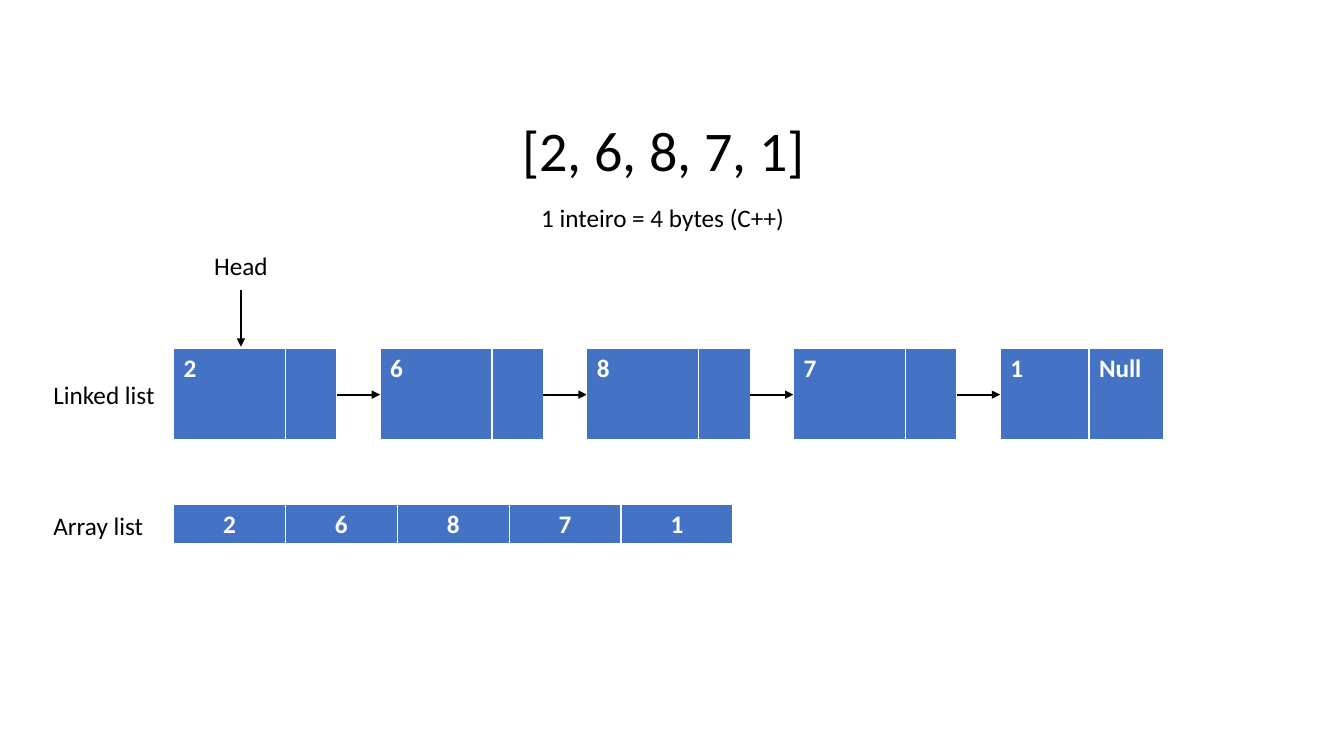
from dataclasses import dataclass
from lxml.etree import SubElement
from pptx import Presentation
from pptx.dml.color import RGBColor
from pptx.enum.shapes import MSO_CONNECTOR
from pptx.enum.text import MSO_ANCHOR, MSO_AUTO_SIZE, PP_ALIGN
from pptx.oxml.ns import qn
from pptx.util import Inches, Pt


@dataclass(frozen=True)
class Theme:
    font: str = "Calibri"
    ink: RGBColor = RGBColor(0, 0, 0)
    paper: RGBColor = RGBColor(0xFF, 0xFF, 0xFF)
    cell: RGBColor = RGBColor(0x44, 0x72, 0xC4)
    title: Pt = Pt(40)
    body: Pt = Pt(18)
    arrow: Pt = Pt(1.5)
    border: Pt = Pt(1)
    base: Pt = Pt(3)


THEME = Theme()
VALUES = ["2", "6", "8", "7", "1"]
LABEL_H = 0.4


def write(tf, text, size, color, align=PP_ALIGN.LEFT, bold=False):
    p = tf.paragraphs[0]
    p.text = text
    p.alignment = align
    p.font.name = THEME.font
    p.font.size = size
    p.font.bold = bold
    p.font.color.rgb = color


def add_label(s, text, x, y, w, align=PP_ALIGN.LEFT):
    sp = s.shapes.add_textbox(Inches(x), Inches(y), Inches(w), Inches(LABEL_H))
    tf = sp.text_frame
    tf.word_wrap = True
    tf.auto_size = MSO_AUTO_SIZE.SHAPE_TO_FIT_TEXT
    write(tf, text, THEME.body, THEME.ink, align)


def add_arrow(s, x1, y1, x2, y2):
    line = s.shapes.add_connector(
        MSO_CONNECTOR.STRAIGHT, Inches(x1), Inches(y1), Inches(x2), Inches(y2))
    line.line.color.rgb = THEME.ink
    line.line.width = THEME.arrow
    SubElement(line.line._get_or_add_ln(), qn("a:tailEnd"), type="triangle")
    SubElement(line._element.spPr, qn("a:effectLst"))


def add_borders(cell):
    tcPr = cell._tc.get_or_add_tcPr()
    for side in "LRTB":
        width = THEME.base if side == "B" else THEME.border
        ln = SubElement(tcPr, qn(f"a:ln{side}"), w=str(int(width)))
        fill = SubElement(ln, qn("a:solidFill"))
        SubElement(fill, qn("a:srgbClr"), val=str(THEME.paper))


def add_cells(s, texts, x, y, widths, h, align=PP_ALIGN.LEFT):
    table = s.shapes.add_table(
        1, len(texts), Inches(x), Inches(y), Inches(sum(widths)), Inches(h)).table
    table.rows[0].height = Inches(h)
    for i, (text, w) in enumerate(zip(texts, widths)):
        table.columns[i].width = Inches(w)
        cell = table.cell(0, i)
        add_borders(cell)
        cell.fill.solid()
        cell.fill.fore_color.rgb = THEME.cell
        write(cell.text_frame, text, THEME.body, THEME.paper, align, bold=True)


def add_heading(s, x, y, w):
    sp = s.shapes.title
    sp.left, sp.top, sp.width, sp.height = map(Inches, (x, y, w, 0.77))
    tf = sp.text_frame
    tf.word_wrap = True
    tf.auto_size = MSO_AUTO_SIZE.NONE
    tf.vertical_anchor = MSO_ANCHOR.TOP
    write(tf, f"[{', '.join(VALUES)}]", THEME.title, THEME.ink)
    add_label(s, "1 inteiro = 4 bytes (C++)", x + 0.19, y + 0.86, w)


def add_linked_list(s, x, y, h):
    label_w, node_w, pitch = 1.29, 1.62, 2.05
    first, mid = x + label_w, y + h / 2
    last = len(VALUES) - 1
    add_label(s, "Linked list", x, y + 0.25, label_w)
    for i, value in enumerate(VALUES):
        left = first + i * pitch
        if i == last:
            add_cells(s, [value, "Null"], left, y, [0.88, 0.74], h)
        else:
            add_cells(s, [value, ""], left, y, [1.11, 0.51], h)
            add_arrow(s, left + node_w, mid, left + pitch, mid)
    head_x = first + 0.67
    add_label(s, "Head", head_x - label_w / 2, y - 1.03, label_w, PP_ALIGN.CENTER)
    add_arrow(s, head_x, y - 0.58, head_x, y - 0.02)


def add_array_list(s, x, y, h):
    label_w = 1.29
    add_label(s, "Array list", x, y + 0.01, label_w)
    add_cells(s, VALUES, x + label_w, y, [1.11] * len(VALUES), h, PP_ALIGN.CENTER)


def main():
    prs = Presentation()
    prs.slide_width, prs.slide_height = Inches(13.33), Inches(7.5)
    s = prs.slides.add_slide(prs.slide_layouts[5])
    add_heading(s, 5.08, 1.1, 3.03)
    add_linked_list(s, 0.43, 3.46, 0.91)
    add_array_list(s, 0.43, 5, 0.41)
    prs.save("out.pptx")


if __name__ == "__main__":
    main()
